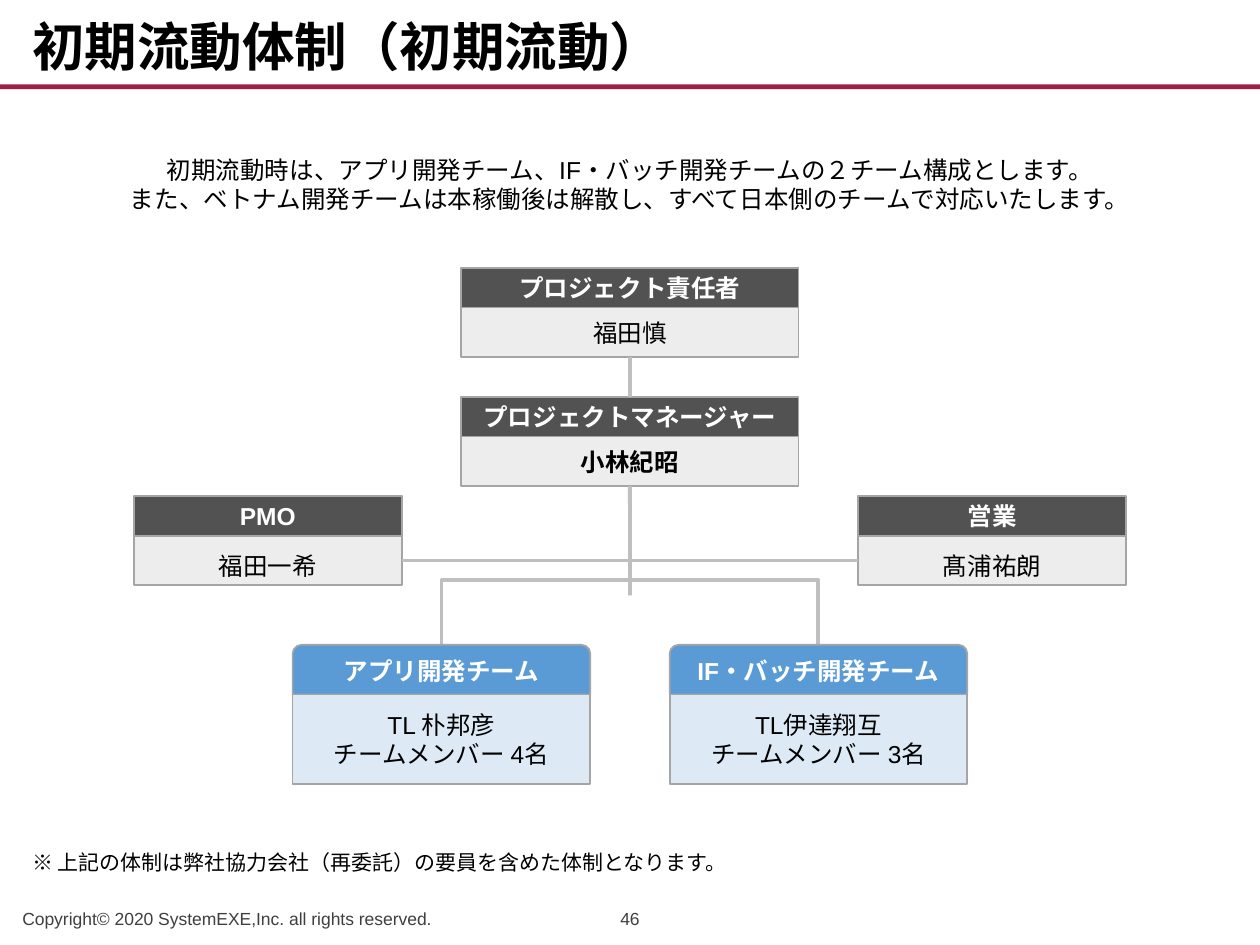
from lxml.etree import SubElement
from pptx import Presentation
from pptx.dml.color import RGBColor
from pptx.enum.shapes import MSO_CONNECTOR, MSO_SHAPE
from pptx.enum.text import MSO_ANCHOR, PP_ALIGN
from pptx.oxml.ns import qn
from pptx.util import Cm, Inches, Pt

# The slide is laid out on a grid of 1 cm columns and rows.
WIDE, HIGH = 25.4, 19.05
MID = WIDE / 2
EDGE = 0.4
HEAD = 0.8
DARK, PALE, GREY, RAIL = "525252", "EDEDED", "A5A5A5", "BFBFBF"
BLUE, SKY, RED, NOTE = "5B9BD5", "DDEAF6", "A01D45", "3F3F3F"
LEAD = [
    "初期流動時は、アプリ開発チーム、IF・バッチ開発チームの２チーム構成とします。",
    "また、ベトナム開発チームは本稼働後は解散し、すべて日本側のチームで対応いたします。",
]


def color(code):
    return RGBColor.from_string(code)


def write(shape, lines, size=14, ink="000000", bold=False, align=PP_ALIGN.CENTER,
          anchor=MSO_ANCHOR.MIDDLE, pad=(0.04, 0.05), top=None, space=None):
    frame = shape.text_frame
    frame.word_wrap = True
    frame.vertical_anchor = anchor
    frame.margin_left = frame.margin_right = Inches(pad[0])
    frame.margin_top = Inches(pad[1] if top is None else top)
    frame.margin_bottom = Inches(pad[1])
    for i, line in enumerate(lines):
        para = frame.add_paragraph() if i else frame.paragraphs[0]
        para.alignment = align
        if space:
            para.line_spacing = space
        run = para.add_run()
        run.text = line
        font = run.font
        font.name, font.size, font.bold = "Arial", Pt(size), bold
        font.color.rgb = color(ink)


def label(slide, box, lines, **style):
    shape = slide.shapes.add_textbox(*map(Cm, box))
    write(shape, lines, pad=(0.1, 0.05), **style)


def block(slide, box, fill, line=None, kind=MSO_SHAPE.RECTANGLE):
    shape = slide.shapes.add_shape(kind, *map(Cm, box))
    shape.shadow.inherit = False
    shape.fill.solid()
    shape.fill.fore_color.rgb = color(fill)
    if line:
        shape.line.color.rgb = color(line)
        shape.line.width = Pt(1)
    else:
        shape.line.fill.background()
    return shape


def wire(slide, kind, start, end):
    link = slide.shapes.add_connector(kind, *map(Cm, (*start, *end)))
    link.line.color.rgb = color(RAIL)
    link.line.width = Pt(2.25)
    SubElement(link._element.spPr, qn("a:effectLst"))
    return link


def elbow(slide, start, end, shape, bend=None):
    """Draw a bent connector that leaves its start vertically."""
    (x1, y1), (x2, y2) = start, end
    long, deep = y2 - y1, abs(x2 - x1)
    left, top = (x1 + x2 - long) / 2, (y1 + y2 - deep) / 2
    link = wire(slide, MSO_CONNECTOR.ELBOW, (left, top), (left + long, top + deep))
    props = link._element.spPr
    turn = props.find(qn("a:xfrm"))
    turn.set("rot", str((90 if x2 < x1 else 270) * 60000))
    if x2 > x1:
        turn.set("flipH", "1")
    geom = props.find(qn("a:prstGeom"))
    geom.set("prst", shape)
    if bend is not None:
        guides = geom.find(qn("a:avLst"))
        SubElement(guides, qn("a:gd"), name="adj1", fmla=f"val {round(bend * 100000)}")


def role(slide, box, title, name, bold=False, low=False):
    """Place a role heading above its holder; low drops the name a little."""
    x, y, w, h = box
    head = block(slide, (x, y, w, HEAD), DARK, GREY)
    write(head, [title], ink="FFFFFF", bold=True)
    body = block(slide, (x, y + HEAD, w, h - HEAD), PALE, GREY)
    style = dict(anchor=MSO_ANCHOR.TOP, pad=(0.08, 0.05), top=0.12) if low else {}
    write(body, [name], bold=bold, **style)
    return head, body


def team(slide, box, title, lines):
    x, y, w, h = box
    head = block(slide, (x, y, w, 1), BLUE, GREY, MSO_SHAPE.ROUND_2_SAME_RECTANGLE)
    head.adjustments[0], head.adjustments[1] = 0.176, 0
    write(head, [title], ink="FFFFFF", bold=True)
    body = block(slide, (x, y + 1, w, h - 1), SKY, GREY)
    write(body, lines, anchor=MSO_ANCHOR.TOP, pad=(0.08, 0.05), top=0.12)


def chart(slide, box):
    """Place the organisation chart."""
    x, y, w, h = box
    mid, tall = x + w / 2, HEAD + 1
    lead, side, crew = 6.8, 5.4, 6
    boss_x, boss_y = mid - lead / 2, y + 2.6
    fork = boss_y + tall
    foot, base = fork + 2.2, y + h - 2.8
    rail = fork + 1.5

    _, chief = role(slide, (boss_x, y, lead, tall), "プロジェクト責任者", "福田慎")
    boss, name = role(slide, (boss_x, boss_y, lead, tall),
                      "プロジェクトマネージャー", "小林紀昭", bold=True)
    link = wire(slide, MSO_CONNECTOR.STRAIGHT, (mid, y + tall), (mid, boss_y))
    link.begin_connect(chief, 2)
    link.end_connect(boss, 0)
    trunk = wire(slide, MSO_CONNECTOR.STRAIGHT, (mid, fork), (mid, foot))
    trunk.begin_connect(name, 2)

    sides = [(x, x + side, "PMO", "福田一希"),
             (x + w - side, x + w - side, "営業", "髙浦祐朗")]
    for left, port, title, holder in sides:
        role(slide, (left, rail - HEAD - 0.5, side, tall), title, holder, low=True)
        elbow(slide, (mid, fork), (port, rail), "bentConnector2")

    teams = [(-1, "アプリ開発チーム", ["TL 朴邦彦", "チームメンバー 4名"]),
             (1, "IF・バッチ開発チーム", ["TL伊達翔互", "チームメンバー 3名"])]
    for sign, title, lines in teams:
        axis = mid + sign * 3.8
        elbow(slide, (mid, foot), (axis, base), "bentConnector3", bend=-0.3)
        team(slide, (axis - crew / 2, base, crew, 2.8), title, lines)


def header(slide, box):
    x, y, w, h = box
    block(slide, (x, y + h - 0.1, w, 0.1), RED)
    label(slide, (x + EDGE, y + 0.1, w - 2 * EDGE, h - 0.2), ["初期流動体制（初期流動）"],
          size=30, bold=True, align=PP_ALIGN.LEFT, anchor=MSO_ANCHOR.BOTTOM, space=0.9)


def footer(slide, box):
    x, y, w, h = box
    style = dict(size=10, ink=NOTE, anchor=MSO_ANCHOR.BOTTOM)
    label(slide, (x + 0.2, y, 10.8, h), ["Copyright© 2020 SystemEXE,Inc. all rights reserved."],
          align=PP_ALIGN.LEFT, **style)
    label(slide, (x + w / 2 - 1, y, 2, h), ["46"], **style)


def main():
    deck = Presentation()
    deck.slide_width, deck.slide_height = Cm(WIDE), Cm(HIGH)
    slide = deck.slides.add_slide(deck.slide_layouts[6])
    inner = WIDE - 2 * EDGE
    header(slide, (0, 0, WIDE, 1.8))
    label(slide, (EDGE, 3, inner, 1.5), LEAD, anchor=MSO_ANCHOR.TOP)
    chart(slide, (MID - 10, 5.4, 20, 10.4))
    label(slide, (EDGE, 17, inner, 0.76),
          ["※ 上記の体制は弊社協力会社（再委託）の要員を含めた体制となります。"],
          size=12, align=PP_ALIGN.LEFT, anchor=MSO_ANCHOR.BOTTOM)
    footer(slide, (0, 18.05, WIDE, 0.8))
    deck.save("out.pptx")


if __name__ == "__main__":
    main()
